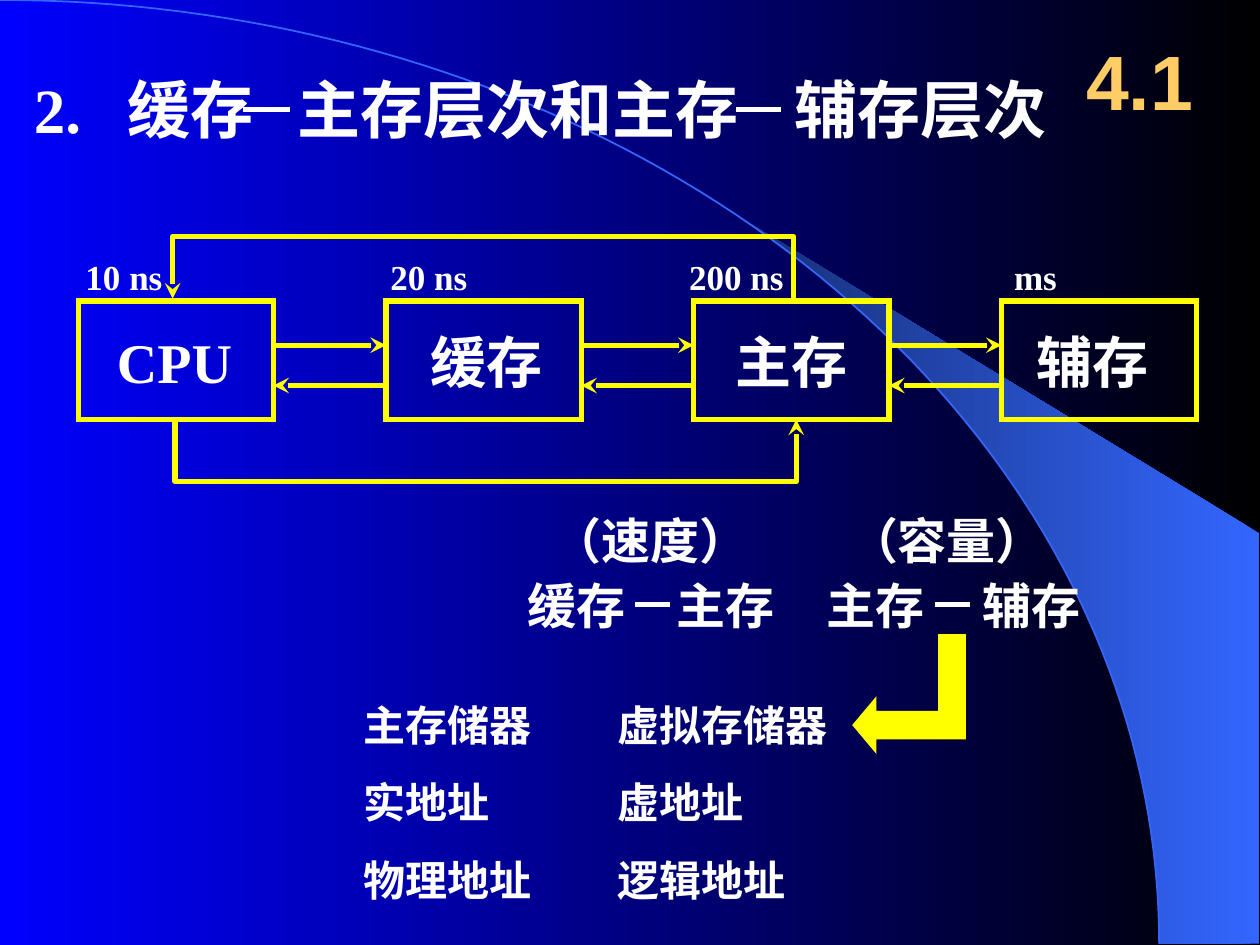
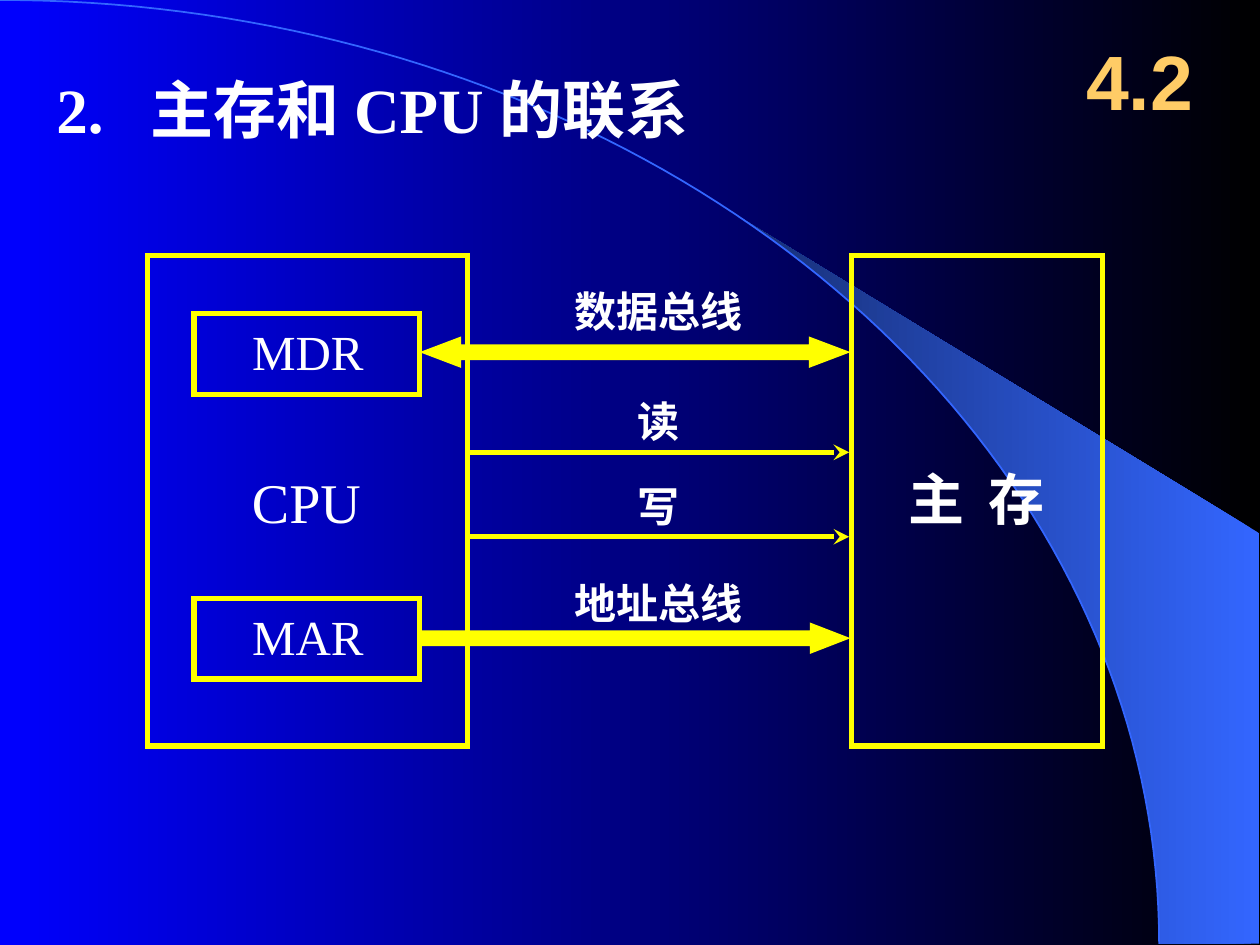
from dataclasses import dataclass
from math import asin, cos, pi, sin
from typing import Any

from lxml import etree
from pptx import Presentation
from pptx import util as u
from pptx.dml.color import RGBColor
from pptx.enum import shapes, text
from pptx.oxml import ns

BLACK = RGBColor(0x00, 0x00, 0x00)
BLUE = RGBColor(0x00, 0x00, 0xFF)
SKY = RGBColor(0x33, 0x66, 0xFF)
NAVY = RGBColor(0x17, 0x2F, 0x75)
WHITE = RGBColor(0xFF, 0xFF, 0xFF)
YELLOW = RGBColor(0xFF, 0xFF, 0x00)
GOLD = RGBColor(0xFF, 0xCC, 0x66)

SERIF, SANS, CHINESE = "Times New Roman", "Arial", "Noto Sans CJK SC"
COLUMNS, ROWS = 100, 75
WIDTH, HEIGHT = u.Inches(10), u.Inches(7.5)
ARC_WIDTH, ARC_HEIGHT = 92, 74.9
PADDING = (1, 0.5)
Point = tuple[float, float]


@dataclass(frozen=True)
class Label:
    """Text with its place in grid columns and rows."""
    words: str
    left: float
    top: float
    width: float
    height: float
    size: int
    font: str = SERIF
    color: RGBColor = WHITE
    bold: bool = True
    padding: Point = PADDING
    wrap: bool = False
    centered: bool = False
    tabs: tuple[float, ...] = ()


@dataclass(frozen=True)
class Block:
    """Preset shape with its place in grid columns and rows."""
    left: float
    top: float
    width: float
    height: float
    kind: Any = shapes.MSO_SHAPE.RECTANGLE
    filled: bool = False
    outline: float = 3
    adjustments: tuple[float, ...] = ()


@dataclass(frozen=True)
class Stroke:
    """Straight line between two grid points."""
    start: Point
    end: Point
    color: RGBColor = YELLOW
    arrow: bool = True


def column(count: float) -> int:
    """Length of a number of grid columns."""
    return round(WIDTH * count / COLUMNS)


def row(count: float) -> int:
    """Length of a number of grid rows."""
    return round(HEIGHT * count / ROWS)


def assign(target: Any, values: dict[str, Any]) -> None:
    """Set each named attribute of the target."""
    for name, value in values.items():
        setattr(target, name, value)


def add_element(parent: Any, tag: str, **attributes: str) -> Any:
    """Append a drawing element to the parent."""
    return etree.SubElement(parent, ns.qn(tag), attributes)


def set_line(shape: Any, color: RGBColor, width: float, arrow: bool = False) -> None:
    """Give a shape its line and, if asked, an arrowhead at the end."""
    shape.line.fill.solid()
    shape.line.color.rgb = color
    shape.line.width = u.Pt(width)
    if arrow:
        add_element(shape.line._get_or_add_ln(), "a:tailEnd", type="stealth")


def set_gradient(fill: Any, first: RGBColor, last: RGBColor) -> None:
    """Fill from the right edge to the left edge."""
    fill.gradient()
    fill.gradient_angle = 180
    for stop, color, position in zip(fill.gradient_stops, (first, last), (0, 1)):
        stop.position = position
        stop.color.rgb = color


def add_label(slide: Any, label: Label) -> None:
    """Draw one label."""
    shape = slide.shapes.add_textbox(column(label.left), row(label.top),
                                     column(label.width), row(label.height))
    across, down = column(label.padding[0]), row(label.padding[1])
    fit, anchor = text.MSO_AUTO_SIZE, text.MSO_ANCHOR
    assign(shape.text_frame, {
        "margin_left": across, "margin_right": across,
        "margin_top": down, "margin_bottom": down,
        "auto_size": fit.NONE if label.centered else fit.SHAPE_TO_FIT_TEXT,
        "word_wrap": label.wrap,
        "vertical_anchor": anchor.MIDDLE if label.centered else anchor.TOP,
    })
    paragraph = shape.text_frame.paragraphs[0]
    paragraph.alignment = text.PP_ALIGN.CENTER if label.centered else text.PP_ALIGN.LEFT
    if label.tabs:
        tab_list = add_element(paragraph._p.get_or_add_pPr(), "a:tabLst")
        for stop in label.tabs:
            add_element(tab_list, "a:tab", pos=str(column(stop)), algn="l")
    run = paragraph.add_run()
    run.text = label.words
    assign(run.font, {"size": u.Pt(label.size), "bold": label.bold, "name": label.font})
    run.font.color.rgb = label.color
    add_element(run._r.get_or_add_rPr(), "a:ea", typeface=CHINESE)


def add_block(slide: Any, block: Block) -> None:
    """Draw one preset shape in yellow."""
    shape = slide.shapes.add_shape(block.kind, column(block.left), row(block.top),
                                   column(block.width), row(block.height))
    shape.shadow.inherit = False
    for index, value in enumerate(block.adjustments):
        shape.adjustments[index] = value
    if block.filled:
        shape.fill.solid()
        shape.fill.fore_color.rgb = YELLOW
    else:
        shape.fill.background()
    if block.outline:
        set_line(shape, YELLOW, block.outline)
        add_element(shape.line._get_or_add_ln(), "a:miter", lim="800000")
    else:
        shape.line.fill.background()


def add_stroke(slide: Any, stroke: Stroke) -> None:
    """Draw one straight line."""
    (left, top), (right, bottom) = stroke.start, stroke.end
    connector = slide.shapes.add_connector(shapes.MSO_CONNECTOR.STRAIGHT, column(left),
                                           row(top), column(right), row(bottom))
    set_line(connector, stroke.color, 3, stroke.arrow)
    add_element(connector._element.spPr, "a:effectLst")


def add_outline(slide: Any, points: list[Point], close: bool = False) -> Any:
    """Draw an unfilled path through grid points."""
    places = [(column(x), row(y)) for x, y in points]
    builder = slide.shapes.build_freeform(*places[0], scale=1.0)
    builder.add_line_segments(places[1:], close=close)
    shape = builder.convert_to_shape()
    shape.shadow.inherit = False
    shape.fill.background()
    return shape


def arc(start: float, steps: int) -> list[Point]:
    """Points of the backdrop's quarter ellipse from an angle to its foot."""
    angles = [start + (pi / 2 - start) * step / steps for step in range(steps + 1)]
    return [(ARC_WIDTH * sin(angle), ARC_HEIGHT * (1 - cos(angle))) for angle in angles]


def start_slide(presentation: Any, section: str, title: Label) -> Any:
    """Add a slide with the shared backdrop, title and section number."""
    slide = presentation.slides.add_slide(presentation.slide_layouts[6])
    set_gradient(slide.background.fill, BLACK, BLUE)
    wedge = add_outline(slide, [*arc(asin(0.64), 30), (99.9, 74.9), (99.9, 42.3)], True)
    set_gradient(wedge.fill, SKY, NAVY)
    wedge.line.fill.background()
    set_line(add_outline(slide, arc(0, 80)), SKY, 1)
    add_label(slide, title)
    add_label(slide, Label(section, 84.2, 1.7, 12.5, 9.2, 44, SANS, GOLD,
                           wrap=True, centered=True))
    return slide


def build_hierarchy(presentation: Any) -> None:
    """Build the slide on the memory levels."""
    title = Label("2.\t缓存\t主存层次和主存\t辅存层次", 1.7, 5.1, 83, 7, 36,
                  wrap=True, tabs=(7.4, 20.9, 60.4))
    slide = start_slide(presentation, "4.1", title)
    box_width, pitch, first, top = 15.5, 24.43, 6.2, 23.9
    levels = (("CPU", 8.3, "10 ns", 5.8, 8.1), ("缓存", 33.2, "20 ns", 30, 8.1),
              ("主存", 57.4, "200 ns", 53.7, 9.5), ("辅存", 81.3, "ms", 79.5, 5.4))
    for index, (name, name_left, delay, delay_left, delay_width) in enumerate(levels):
        left = first + pitch * index
        add_block(slide, Block(left, top, box_width, 9.4))
        add_label(slide, Label(name, name_left, 25.5, 13.1, 6.4, 32, wrap=True))
        add_label(slide, Label(delay, delay_left, 19.8, delay_width, 4.4, 20))
        if index:
            previous = left - pitch + box_width
            add_stroke(slide, Stroke((previous, 27.4), (left, 27.4)))
            add_stroke(slide, Stroke((left, 30.6), (previous, 30.6)))
    for points in ([(13.9, 33.3), (13.9, 38.2), (63.2, 38.2), (63.2, 33.3)],
                   [(63, 23.7), (63, 18.8), (13.7, 18.8), (13.7, 23.7)]):
        set_line(add_outline(slide, points), YELLOW, 3, True)
    for left, right, height in ((19.3, 23, 8.7), (58.4, 62, 8.7),
                                (50.4, 53.2, 48), (74.2, 77, 48)):
        add_stroke(slide, Stroke((left, height), (right, height), WHITE, False))
    for words, left in (("缓存", 40.9), ("主存", 52.7), ("主存", 64.6), ("辅存", 77)):
        add_label(slide, Label(words, left, 45.2, 12, 5.7, 28, wrap=True))
    for words, left in (("（速度）", 42.9), ("（容量）", 66.4)):
        add_label(slide, Label(words, left, 40, 19, 5.7, 28, wrap=True))
    add_block(slide, Block(74.5, 50.4, 2.1, 6, filled=True, outline=0.75))
    add_block(slide, Block(67.7, 55.4, 8.9, 4.3, shapes.MSO_SHAPE.LEFT_ARROW, True, 0.75,
                           (0.5, 0.42)))
    terms = (("主存储器", "虚拟存储器"), ("实地址", "虚地址"), ("物理地址", "逻辑地址"))
    for index, pair in enumerate(terms):
        for words, left in zip(pair, (27.9, 48)):
            width = len(words) * 10 / 3 + 3
            add_label(slide, Label(words, left, 55 + 6.15 * index, width, 5, 24, wrap=True))


def build_connection(presentation: Any) -> None:
    """Build the slide on the link between main memory and CPU."""
    title = Label("2.\t主存和 CPU 的联系", 3.5, 5.1, 60, 7, 36, wrap=True, tabs=(7.5,))
    slide = start_slide(presentation, "4.2", title)
    arrow = shapes.MSO_SHAPE
    for block in (Block(11.7, 20.3, 25.4, 38.9), Block(67.6, 20.3, 19.9, 38.9),
                  Block(15.4, 24.9, 17.9, 6.4), Block(15.4, 47.5, 17.9, 6.4),
                  Block(33.3, 26.7, 34.2, 2.5, arrow.LEFT_RIGHT_ARROW, True, 0, (0.5, 1.32)),
                  Block(33.3, 49.4, 34.2, 2.5, arrow.RIGHT_ARROW, True, 0, (0.5, 1.29))):
        add_block(slide, block)
    for height in (35.9, 42.6):
        add_stroke(slide, Stroke((37.2, height), (67.4, height)))
    for words, top, width, size in (("MDR", 25.5, 8.9, 28), ("CPU", 37.1, 8.7, 32),
                                    ("MAR", 48.1, 8.9, 28)):
        add_label(slide, Label(words, 20, top, width, size / 6, size, bold=False,
                               padding=(0, 0)))
    for words, left, top in (("数据总线", 45.6, 22.7), ("读", 50.6, 31.4),
                             ("写", 50.6, 38.1), ("地址总线", 45.6, 45.8)):
        add_label(slide, Label(words, left, top, len(words) * 10 / 3 + 1, 4, 24, CHINESE,
                               padding=(0, 0), wrap=True))
    add_label(slide, Label("主\t存", 71.1, 36.4, 14, 6.4, 32, wrap=True, tabs=(6.4,)))


def main() -> None:
    """Build both slides and save them."""
    presentation = Presentation()
    assign(presentation, {"slide_width": WIDTH, "slide_height": HEIGHT})
    build_hierarchy(presentation)
    build_connection(presentation)
    presentation.save("out.pptx")


main()
